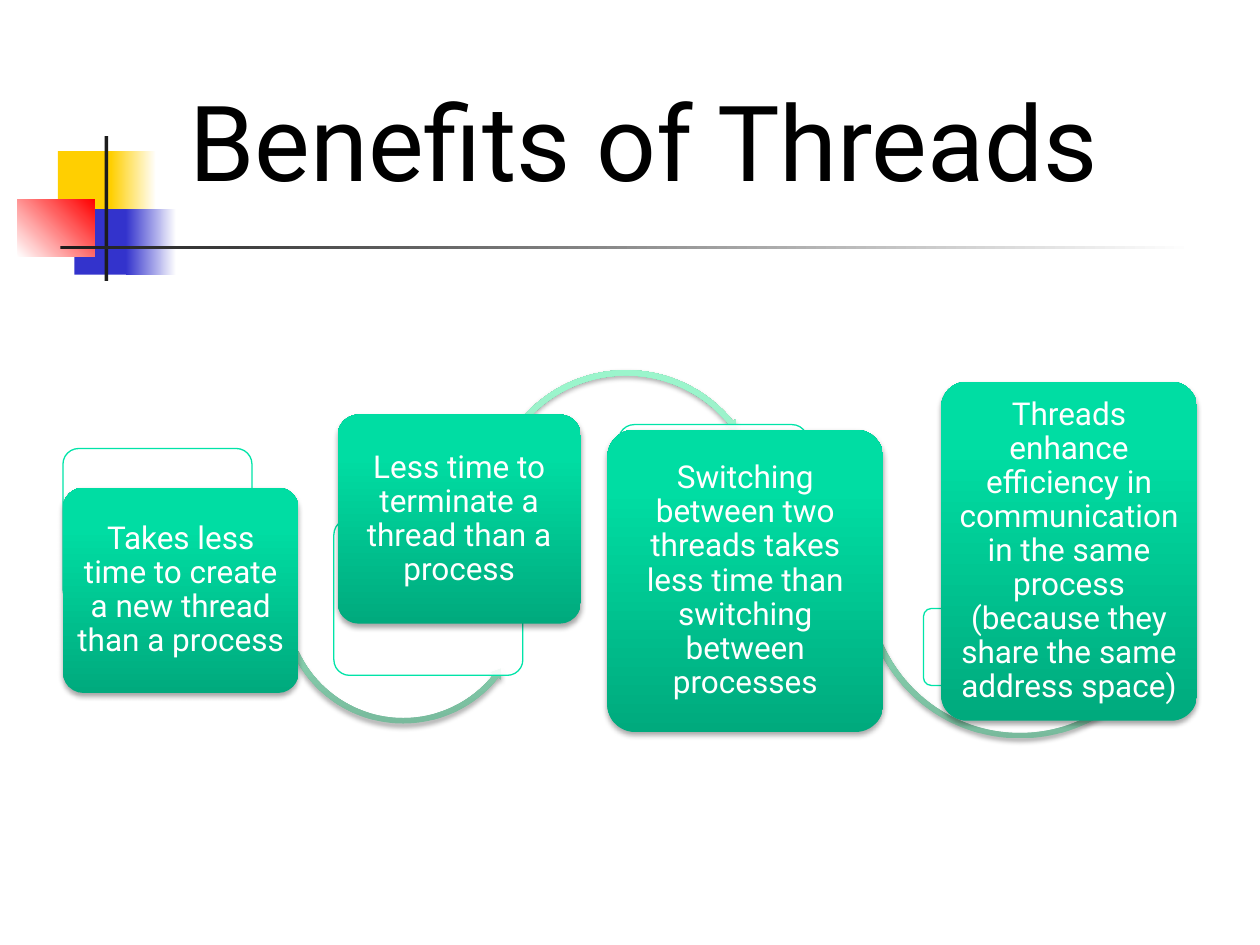
from dataclasses import dataclass

from lxml import etree
from pptx import Presentation
from pptx.dml.color import RGBColor
from pptx.enum.shapes import MSO_SHAPE
from pptx.enum.text import MSO_ANCHOR, MSO_AUTO_SIZE, PP_ALIGN
from pptx.oxml.ns import qn
from pptx.util import Inches, Pt

RECT = MSO_SHAPE.RECTANGLE
ROUNDED = MSO_SHAPE.ROUNDED_RECTANGLE
ARC_OVER = MSO_SHAPE.CIRCULAR_ARROW
ARC_UNDER = MSO_SHAPE.LEFT_CIRCULAR_ARROW
CENTER = PP_ALIGN.CENTER
MIDDLE, BOTTOM = MSO_ANCHOR.MIDDLE, MSO_ANCHOR.BOTTOM
NO_AUTOFIT = MSO_AUTO_SIZE.NONE
TITLE_ONLY = 5


@dataclass(frozen=True)
class Theme:
    font: str = "Roboto"
    title_size: int = 60
    card_size: int = 18
    black: str = "000000"
    white: str = "FFFFFF"
    yellow: str = "FFCF01"
    blue: str = "3333CC"
    red: str = "FF0000"
    ink: str = "1C1C1C"
    outline: str = "00E4A8"
    # Gradient stops: (percent, colour)
    card: tuple = ((0, "00AA7D"), (80, "00DDA3"), (100, "00DEA4"))
    arc: tuple = ((0, "78BA9C"), (80, "9CF2CB"), (100, "9BF5CC"))


THEME = Theme()


def set_all(target, values):
    for name, value in values.items():
        setattr(target, name, value)


def add_xml(parent, tag, **attributes):
    return etree.SubElement(parent, qn(tag), {k: str(v) for k, v in attributes.items()})


class SlideBuilder:
    def __init__(self, slide, theme):
        self.slide = slide
        self.theme = theme

    def shape(self, kind, box, adjustments=()):
        """Add a plain shape without line or shadow."""
        shape = self.slide.shapes.add_shape(kind, *map(Inches, box))
        shape.shadow.inherit = False
        shape.line.fill.background()
        for index, value in enumerate(adjustments):
            shape.adjustments[index] = value
        return shape

    def solid(self, shape, color):
        shape.fill.solid()
        shape.fill.fore_color.rgb = RGBColor.from_string(color)

    def gradient(self, shape, stops, angle):
        """Fill with any number of stops; the angle runs counter-clockwise."""
        shape.fill.gradient()
        shape.fill.gradient_angle = angle
        stop_list = shape._element.spPr.find(qn("a:gradFill")).find(qn("a:gsLst"))
        stop_list.clear()
        for percent, color in stops:
            stop = add_xml(stop_list, "a:gs", pos=percent * 1000)
            add_xml(stop, "a:srgbClr", val=color)

    def soft_shadow(self, shape):
        effects = shape._element.spPr.find(qn("a:effectLst"))
        shadow = add_xml(effects, "a:outerShdw", blurRad=Pt(3.1), dist=Pt(1.8),
                         dir=90 * 60000, rotWithShape=0)
        color = add_xml(shadow, "a:srgbClr", val=self.theme.black)
        add_xml(color, "a:alpha", val=35000)

    def text(self, shape, words, size, color, anchor, spacing, margins):
        frame = shape.text_frame
        frame.text = words
        set_all(frame, {"word_wrap": True, "auto_size": NO_AUTOFIT,
                        "vertical_anchor": anchor, **margins})
        paragraph = frame.paragraphs[0]
        set_all(paragraph, {"alignment": CENTER, "line_spacing": spacing})
        font = paragraph.runs[0].font
        set_all(font, {"name": self.theme.font, "size": Pt(size)})
        font.color.rgb = RGBColor.from_string(color)

    def title(self, words, box):
        title = self.slide.shapes.title
        set_all(title, dict(zip(("left", "top", "width", "height"), map(Inches, box))))
        self.text(title, words, self.theme.title_size, self.theme.black, BOTTOM, 1.0, {})

    def block(self, box, color):
        self.solid(self.shape(RECT, box), color)

    def fade(self, box, start, end, angle=0):
        self.gradient(self.shape(RECT, box), ((0, start), (100, end)), angle)

    def back_panel(self, box):
        panel = self.shape(ROUNDED, box, (0.1,))
        self.solid(panel, self.theme.white)
        fill = panel._element.spPr.find(qn("a:solidFill"))
        add_xml(fill[0], "a:alpha", val=90000)
        panel.line.color.rgb = RGBColor.from_string(self.theme.outline)
        panel.line.width = Pt(0.75)

    def arc(self, kind, left, top, size, adjustments):
        arc = self.shape(kind, (left, top, size, size), adjustments)
        self.gradient(arc, self.theme.arc, 90)
        self.soft_shadow(arc)

    def card(self, box, words):
        card = self.shape(ROUNDED, box, (0.1,))
        self.gradient(card, self.theme.card, 90)
        self.soft_shadow(card)
        margins = {"margin_left": Inches(0.04), "margin_right": Inches(0.04),
                   "margin_top": Inches(0.03), "margin_bottom": Inches(0.03)}
        self.text(card, words, self.theme.card_size, self.theme.white, MIDDLE, 0.9, margins)


# Each benefit: back panel, arc to the next one, card, wording
BENEFITS = (
    ((0.5, 3.56, 1.5, 1.24),
     (ARC_UNDER, 2.21, 3.79, 1.98, (0.022, 2.603, 23.061, 92.948, 0.025)),
     (0.5, 3.87, 1.87, 1.63),
     "Takes less time to create a new thread than a process"),
    ((2.65, 4.12, 1.5, 1.24),
     (ARC_OVER, 3.85, 2.91, 2.24, (0.019, 2.29, 192.535, 122.335, 0.022)),
     (2.68, 3.29, 1.93, 1.66),
     "Less time to terminate a thread than a process"),
    ((4.91, 3.37, 1.5, 1.24),
     (ARC_UNDER, 6.83, 3.36, 2.53, (0.017, 2.011, 23.123, 93.602, 0.02)),
     (4.82, 3.41, 2.19, 2.4),
     "Switching between two threads takes less time than switching between processes"),
    ((7.33, 4.83, 2.04, 0.61),
     None,
     (7.47, 3.03, 2.03, 2.69),
     "Threads enhance efficiency in communication in the same process "
     "(because they share the same address space)"),
)


def main():
    deck = Presentation()
    set_all(deck, {"slide_width": Inches(10), "slide_height": Inches(7.5)})
    builder = SlideBuilder(deck.slides.add_slide(deck.slide_layouts[TITLE_ONLY]), THEME)

    # Corner ornament and rule under the title
    builder.block((0.46, 1.2, 0.48, 0.52), THEME.yellow)
    builder.fade((0.88, 1.2, 0.36, 0.52), THEME.yellow, THEME.white)
    builder.block((0.59, 1.66, 0.46, 0.52), THEME.blue)
    builder.fade((1, 1.66, 0.4, 0.52), THEME.blue, THEME.white)
    builder.fade((0.14, 1.58, 0.61, 0.46), THEME.white, THEME.red, 45)
    builder.block((0.83, 1.08, 0.03, 1.15), THEME.ink)
    builder.fade((0.48, 1.95, 9, 0.03), THEME.ink, THEME.white)

    builder.title("Benefits of Threads", (0.83, 0.58, 8.56, 1.08))

    # Chain of benefits
    for panel, arc, card, words in BENEFITS:
        builder.back_panel(panel)
        if arc:
            builder.arc(*arc)
        builder.card(card, words)

    deck.save("out.pptx")


if __name__ == "__main__":
    main()
